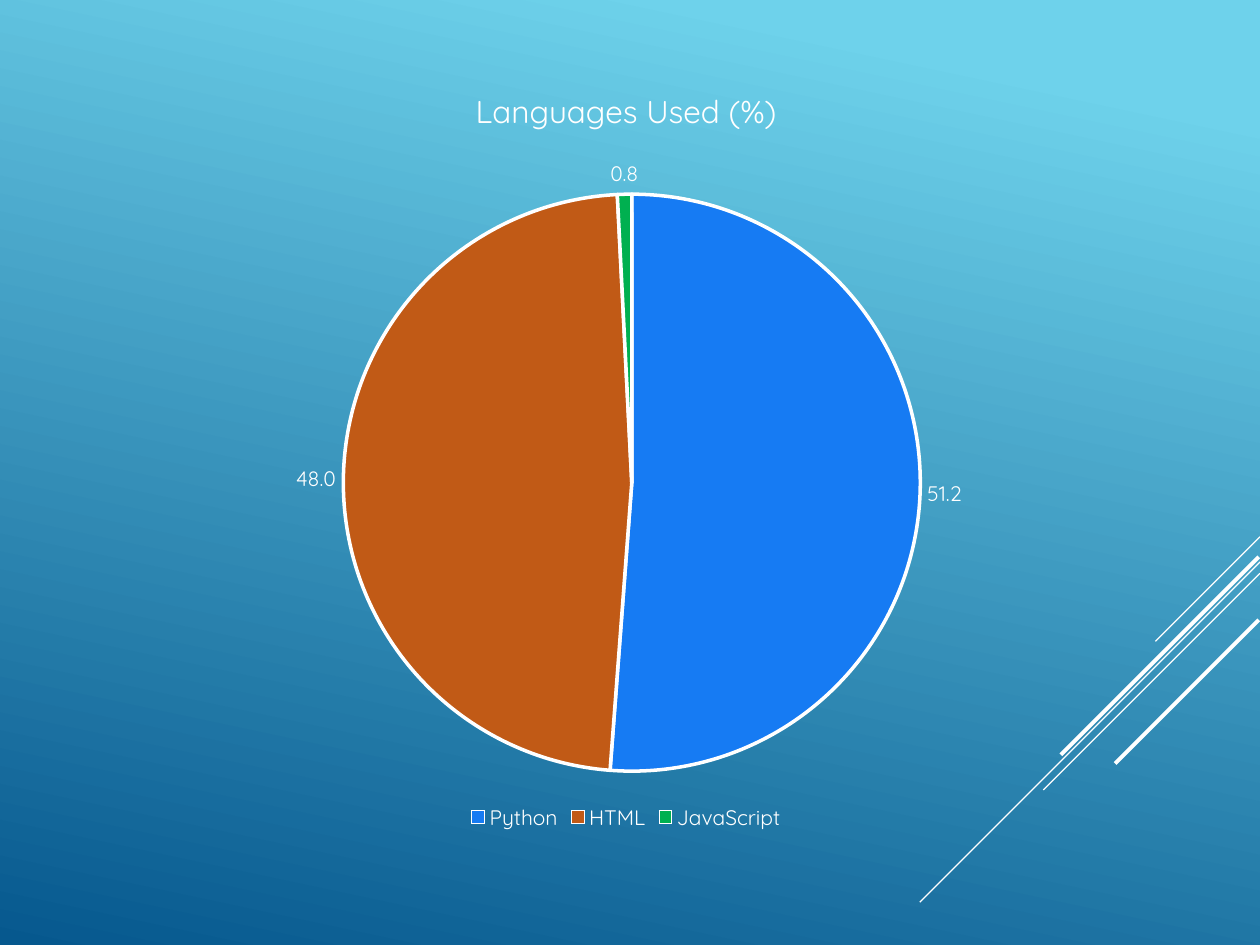
from lxml import etree
from pptx import Presentation
from pptx.chart.data import CategoryChartData
from pptx.dml.color import RGBColor
from pptx.enum.chart import XL_CHART_TYPE, XL_LABEL_POSITION, XL_LEGEND_POSITION
from pptx.enum.shapes import MSO_CONNECTOR
from pptx.oxml import parse_xml
from pptx.oxml.ns import nsdecls, qn
from pptx.util import Inches, Pt

PIE = XL_CHART_TYPE.PIE
OUTSIDE = XL_LABEL_POSITION.OUTSIDE_END
BOTTOM = XL_LEGEND_POSITION.BOTTOM
STRAIGHT = MSO_CONNECTOR.STRAIGHT


def tint(code):
    return RGBColor.from_string(code)


class Deck:
    face = "Quicksand"
    ink = "FFFFFF"

    def __init__(self, wide, high):
        self.file = Presentation()
        self.file.slide_width = Inches(wide)
        self.file.slide_height = Inches(high)
        self.slide = self.file.slides.add_slide(self.file.slide_layouts[6])

    def place(self, x, y):
        return round(x * self.file.slide_width), round(y * self.file.slide_height)

    def style(self, font, size):
        font.name = self.face
        font.size = Pt(size)
        font.bold = False
        font.color.rgb = tint(self.ink)

    def ground(self, stops, angle):
        fill = self.slide.background.fill
        fill.gradient()
        fill.gradient_angle = 360 - angle
        for stop, (share, code) in zip(fill.gradient_stops, stops):
            stop.position = share
            stop.color.rgb = tint(code)

    def line(self, start, end, width):
        line = self.slide.shapes.add_connector(
            STRAIGHT, *self.place(*start), *self.place(*end))
        line.line.color.rgb = tint(self.ink)
        line.line.width = Pt(width)
        etree.SubElement(line._element.spPr, qn("a:effectLst"))

    def pie(self, spot, size, title, parts, plot):
        data = CategoryChartData(number_format="0.0")
        data.categories = [name for name, value, code in parts]
        data.add_series("Series 1", [value for name, value, code in parts])
        chart = self.slide.shapes.add_chart(
            PIE, *self.place(*spot), *self.place(*size), data).chart
        self.style(chart.font, 10)

        chart.has_title = True
        frame = chart.chart_title.text_frame
        frame.text = title
        self.style(frame.paragraphs[0].font, 18)
        chart.chart_title.include_in_layout = False

        chart.has_legend = True
        chart.legend.position = BOTTOM
        chart.legend.include_in_layout = False
        self.style(chart.legend.font, 12)

        pie = chart.plots[0]
        pie.vary_by_categories = True
        pie.has_data_labels = True
        labels = pie.data_labels
        labels.show_value = True
        labels.show_percentage = False
        labels.position = OUTSIDE
        labels.number_format = "0.0"
        labels.number_format_is_linked = False
        self.style(labels.font, 12)

        for rank, (name, value, code) in enumerate(parts):
            form = pie.series[0].points[rank].format
            form.fill.solid()
            form.fill.fore_color.rgb = tint(code)
            form.line.color.rgb = tint(self.ink)
            form.line.width = Pt(2)
        self.fit(chart, plot)

    def fit(self, chart, plot):
        area = chart._chartSpace.chart.plotArea
        for old in area.findall(qn("c:layout")):
            area.remove(old)
        modes = "".join(f'<c:{side}Mode val="edge"/>' for side in "xy")
        sides = "".join(
            f'<c:{side} val="{share}"/>' for side, share in zip("xywh", plot))
        area.insert(0, parse_xml(
            f'<c:layout {nsdecls("c")}><c:manualLayout>'
            f'<c:layoutTarget val="inner"/>{modes}{sides}'
            '</c:manualLayout></c:layout>'))


def main():
    wide, high = 10, 7.5
    deck = Deck(wide, high)
    deck.ground([(0.1, "6ED2EB"), (1, "06588E")], 102)

    thin, thick = 0.75, 2.25
    rays = [
        (10, 4.26, 0.83, thin),
        (10, 4.46, 2.7, thin),
        (10, 4.55, 1.72, thin),
        (9.99, 4.42, 1.57, thick),
        (9.99, 4.92, 1.14, thick),
    ]
    for x, y, run, width in rays:
        deck.line((x / wide, y / high), ((x - run) / wide, (y + run) / high), width)

    deck.pie(
        (0.48 / wide, 0.48 / high), (8.98 / wide, 6.15 / high),
        "Languages Used (%)",
        [("Python", 51.2, "167BF3"),
         ("HTML", 48, "C15A16"),
         ("JavaScript", 0.8, "00B050")],
        (0.25, 0.17, 0.51, 0.75))
    deck.file.save("out.pptx")


if __name__ == "__main__":
    main()
